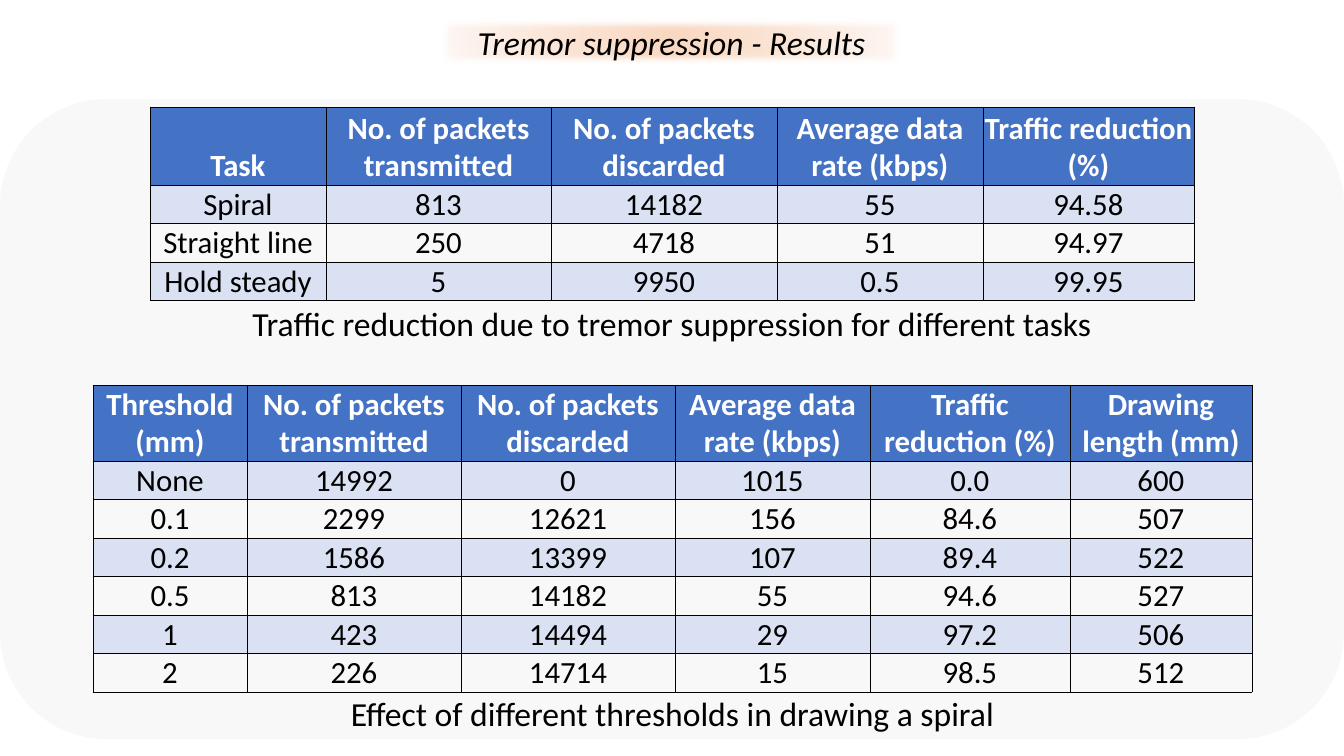
import lxml.etree
import pptx
import pptx.dml.color
import pptx.enum.shapes
import pptx.enum.text
import pptx.oxml
import pptx.oxml.ns
import pptx.util

EMU_PER_PX = 914400 / 100.8
COLORS = {
    "panel": "F2F2F2",
    "header": "4472C4",
    "band": "D9E1F2",
    "light": "FFFFFF",
    "ink": "000000",
    "glow_center": "FAD8C1",
    "glow_middle": "FCE7D9",
    "glow_edge": "FEF8F5",
}
TABLES = [
    {
        "left": 150, "top": 107,
        "columns": [176, 225, 226, 206, 211],
        "header_height": 78, "row_height": 38,
        "rows": [
            ["Task", "No. of packets transmitted", "No. of packets discarded",
             "Average data rate (kbps)", "Traffic reduction (%)"],
            ["Spiral", "813", "14182", "55", "94.58"],
            ["Straight line", "250", "4718", "51", "94.97"],
            ["Hold steady", "5", "9950", "0.5", "99.95"],
        ],
    },
    {
        "left": 93, "top": 385,
        "columns": [154, 214, 214, 195, 200, 182],
        "header_height": 74, "row_height": 36,
        "rows": [
            ["Threshold (mm)", "No. of packets transmitted", "No. of packets discarded",
             "Average data rate (kbps)", "Traffic reduction (%)", "Drawing length (mm)"],
            ["None", "14992", "0", "1015", "0.0", "600"],
            ["0.1", "2299", "12621", "156", "84.6", "507"],
            ["0.2", "1586", "13399", "107", "89.4", "522"],
            ["0.5", "813", "14182", "55", "94.6", "527"],
            ["1", "423", "14494", "29", "97.2", "506"],
            ["2", "226", "14714", "15", "98.5", "512"],
        ],
    },
]
CAPTIONS = [
    ("Effect of different thresholds in drawing a spiral", 248, 688, 849),
    ("Traffic reduction due to tremor suppression for different tasks", 150, 298, 1044),
]


def px(*lengths):
    """Turn pixel lengths into a list of EMU lengths."""
    return [pptx.util.Emu(round(length * EMU_PER_PX)) for length in lengths]


def write_centered(frame, text, size, color):
    """Put one centred line of Calibri in a text frame and return its font."""
    frame.text = text
    frame.word_wrap = True
    para = frame.paragraphs[0]
    para.alignment = pptx.enum.text.PP_ALIGN.CENTER
    font = para.runs[0].font
    font.name = "Calibri"
    font.size = pptx.util.Pt(size)
    font.color.rgb = pptx.dml.color.RGBColor.from_string(COLORS[color])
    return font


deck = pptx.Presentation()
deck.slide_width, deck.slide_height = px(1344, 756)
page = deck.slides.add_slide(deck.slide_layouts[6])
namespace = pptx.oxml.ns.nsdecls("a")

# Half-transparent panel behind the tables
panel = page.shapes.add_shape(
    pptx.enum.shapes.MSO_SHAPE.ROUNDED_RECTANGLE, *px(0, 99, 1344, 640))
panel.shadow.inherit = False
panel.line.fill.background()
panel.fill.solid()
panel.fill.fore_color.rgb = pptx.dml.color.RGBColor.from_string(COLORS["panel"])
panel_color = panel._element.spPr.find(".//" + pptx.oxml.ns.qn("a:srgbClr"))
lxml.etree.SubElement(panel_color, pptx.oxml.ns.qn("a:alpha"), val="50000")

# Result tables
for spec_table in TABLES:
    rows, columns = spec_table["rows"], spec_table["columns"]
    heights = [spec_table["header_height"]] + [spec_table["row_height"]] * (len(rows) - 1)
    table = page.shapes.add_table(
        len(rows), len(columns),
        *px(spec_table["left"], spec_table["top"], sum(columns), sum(heights))).table
    table.horz_banding = False
    for column, width in zip(table.columns, px(*columns)):
        column.width = width
    for row, height in zip(table.rows, px(*heights)):
        row.height = height

    for row_index, values in enumerate(rows):
        is_header = row_index == 0
        for column_index, value in enumerate(values):
            cell = table.cell(row_index, column_index)
            cell.margin_left, cell.margin_right, cell.margin_top, cell.margin_bottom = px(1, 1, 1, 0)
            cell.vertical_anchor = pptx.enum.text.MSO_ANCHOR.BOTTOM
            font = write_centered(cell.text_frame, value, 22, "light" if is_header else "ink")
            font.bold = is_header
            if is_header or row_index % 2:
                cell.fill.solid()
                cell.fill.fore_color.rgb = pptx.dml.color.RGBColor.from_string(
                    COLORS["header" if is_header else "band"])
            else:
                cell.fill.background()
            properties = cell._tc.get_or_add_tcPr()
            for position, side in enumerate(["lnL", "lnR", "lnT", "lnB"]):
                properties.insert(position, pptx.oxml.parse_xml(
                    f'<a:{side} {namespace} w="6350"><a:solidFill>'
                    f'<a:srgbClr val="{COLORS["ink"]}"/></a:solidFill></a:{side}>'))

# Captions under the tables
for text, left, top, width in CAPTIONS:
    caption = page.shapes.add_textbox(*px(left, top, width, 50))
    write_centered(caption.text_frame, text, 24, "ink")

# Title on a soft-edged radial glow
title = page.shapes.add_shape(
    pptx.enum.shapes.MSO_SHAPE.RECTANGLE, *px(440, 17, 463, 50))
title.shadow.inherit = False
title.line.fill.background()
title.fill.background()
write_centered(title.text_frame, "Tremor suppression - Results", 24, "ink").italic = True
stops = "".join(
    f'<a:gs pos="{place * 1000}"><a:srgbClr val="{COLORS[name]}"/></a:gs>'
    for place, name in [(0, "glow_center"), (53, "glow_middle"), (100, "glow_edge")])
glow = pptx.oxml.parse_xml(
    f'<a:gradFill {namespace} rotWithShape="1"><a:gsLst>{stops}</a:gsLst>'
    '<a:path path="circle"><a:fillToRect l="50000" t="50000" r="50000" b="50000"/></a:path>'
    '</a:gradFill>')
title_properties = title._element.spPr
title_properties.replace(title_properties.find(pptx.oxml.ns.qn("a:noFill")), glow)
effects = title_properties.find(pptx.oxml.ns.qn("a:effectLst"))
lxml.etree.SubElement(effects, pptx.oxml.ns.qn("a:softEdge"), rad="63500")

deck.save("out.pptx")
